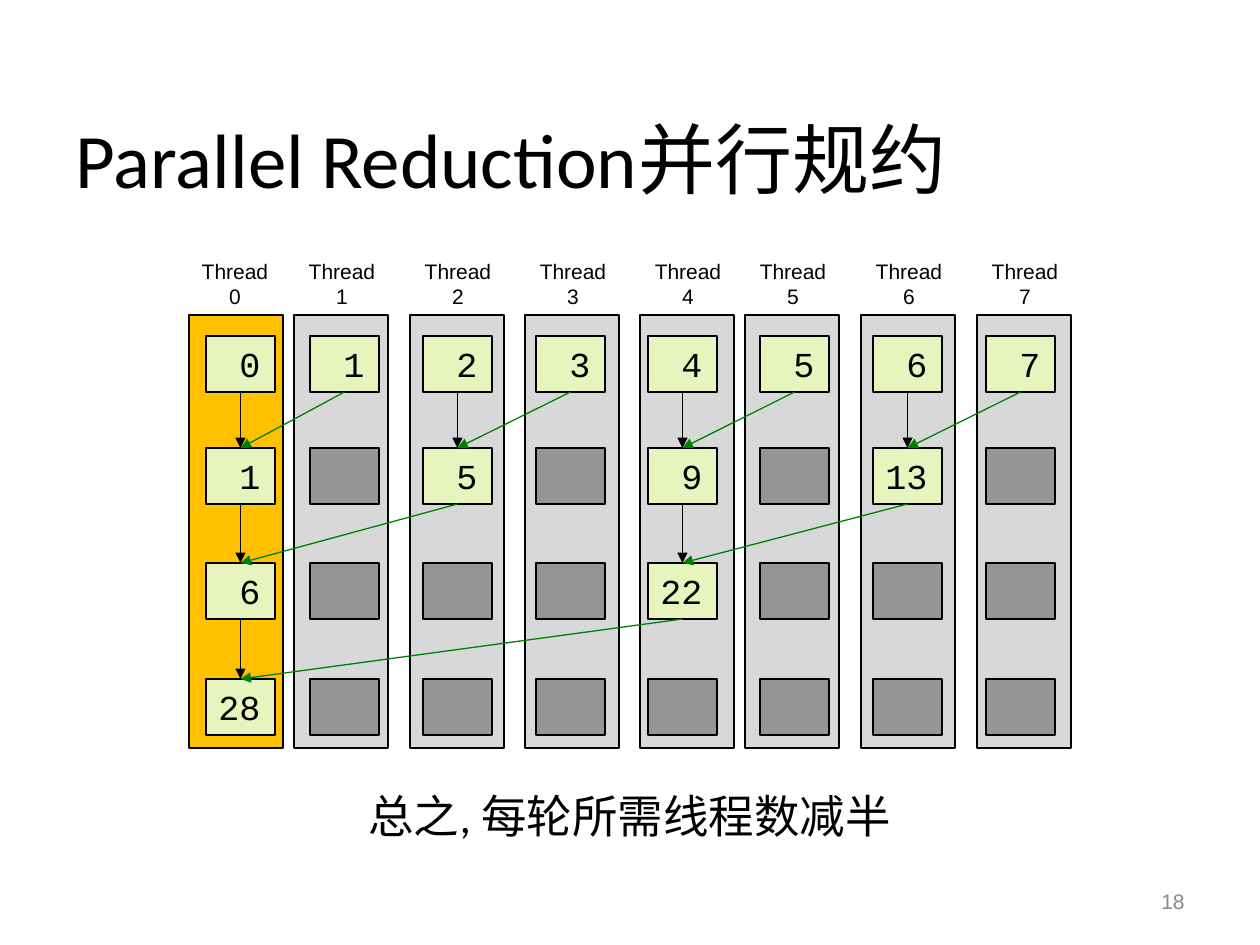
import pptx
import pptx.util
from pptx.dml.color import RGBColor
from pptx.enum.shapes import MSO_CONNECTOR, MSO_SHAPE
from pptx.enum.text import MSO_ANCHOR, PP_ALIGN
from pptx.oxml import parse_xml
from pptx.oxml.ns import nsdecls

# Content
TITLE = "Parallel Reduction并行规约"
CAPTION = "总之, 每轮所需线程数减半"
PAGE = "18"
ROUNDS = [[0, 1, 2, 3, 4, 5, 6, 7], [1, 5, 9, 13], [6, 22], [28]]

# Layout in px, 126 to the inch
LANE_X = [189, 294, 410, 525, 640, 745, 861, 977]
LANE_Y, LANE_W, LANE_H = 315, 94, 433
CELL_X = [206] + [round(310.5 + 112.5 * i) for i in range(7)]
CELL_Y = [336, 448, 563, 679]
CELL_W, CELL_H = 69, 56
LABEL_Y, LABEL_W, LABEL_H = 252, 92, 63

BLACK, GREEN, GREY = "000000", "008000", "898989"
LANE, FIRST_LANE, ACTIVE, IDLE = "D8D8D8", "FFC000", "E7F4BE", "969696"


def px(n):
    return round(n * 914400 / 126)


def rgb(color):
    return RGBColor.from_string(color)


def write(s, text, size, font, color=BLACK, align=PP_ALIGN.LEFT,
          anchor=MSO_ANCHOR.TOP, wrap=True):
    tf = s.text_frame
    tf.text = text
    tf.word_wrap = wrap
    tf.vertical_anchor = anchor
    for p in tf.paragraphs:
        p.alignment = align
        for r in p.runs:
            r.font.size = pptx.util.Pt(size)
            r.font.name = font
            r.font.color.rgb = rgb(color)
    return tf


def text_box(x, y, w, h, *args, **kwargs):
    s = slide.shapes.add_textbox(px(x), px(y), px(w), px(h))
    return write(s, *args, **kwargs)


def box(x, y, w, h, fill):
    s = slide.shapes.add_shape(MSO_SHAPE.RECTANGLE, px(x), px(y), px(w), px(h))
    s.shadow.inherit = False
    s.fill.solid()
    s.fill.fore_color.rgb = rgb(fill)
    s.line.color.rgb = rgb(BLACK)
    s.line.width = pptx.util.Pt(0.75)
    return s


def arrow(source, target, row, color):
    """Run from a cell of one round to a cell of the next."""
    x1, x2 = (CELL_X[i] + CELL_W / 2 for i in (source, target))
    s = slide.shapes.add_connector(
        MSO_CONNECTOR.STRAIGHT, px(x1), px(CELL_Y[row] + CELL_H),
        px(x2), px(CELL_Y[row + 1]))
    s.line.color.rgb = rgb(color)
    s.line.width = pptx.util.Pt(0.75)
    s.line._get_or_add_ln().append(
        parse_xml(f'<a:tailEnd {nsdecls("a")} type="triangle"/>'))
    s._element.spPr.append(parse_xml(f'<a:effectLst {nsdecls("a")}/>'))


prs = pptx.Presentation()
prs.slide_width, prs.slide_height = px(1260), px(945)
slide = prs.slides.add_slide(prs.slide_layouts[5])

# Title
title = slide.shapes.title
title.left, title.top, title.width, title.height = px(63), px(63), px(1134), px(189)
write(title, TITLE, 44, "Calibri", anchor=MSO_ANCHOR.MIDDLE)

# Thread lanes with labels
for i, x in enumerate(LANE_X):
    box(x, LANE_Y, LANE_W, LANE_H, LANE if i else FIRST_LANE)
    text_box(x + (2 if i else 0), LABEL_Y, LABEL_W, LABEL_H, f"Thread\n{i}",
             12, "Arial", align=PP_ALIGN.CENTER, wrap=False)

# Cells: each round keeps every second thread of the one before
for row, values in enumerate(ROUNDS):
    stride = 2 ** row
    for i, x in enumerate(CELL_X):
        active = i % stride == 0
        s = box(x, CELL_Y[row], CELL_W, CELL_H, ACTIVE if active else IDLE)
        if active:
            write(s, f"{values[i // stride]:>2}", 20, "Courier New", wrap=False)

# Arrows: a thread keeps its own value and adds its neighbour's
for row in range(len(ROUNDS) - 1):
    stride = 2 ** row
    for i in range(0, len(CELL_X), 2 * stride):
        arrow(i, i, row, BLACK)
        arrow(i + stride, i, row, GREEN)

# Caption and page number
p = text_box(63, 788, 1134, 116, CAPTION, 26, "Calibri",
             align=PP_ALIGN.CENTER).paragraphs[0]
p.line_spacing = 0.9
p.space_before = pptx.util.Pt(5)
text_box(903, 876, 294, 50, PAGE, 12, "Arial", GREY, PP_ALIGN.RIGHT,
         MSO_ANCHOR.MIDDLE)

prs.save("out.pptx")
